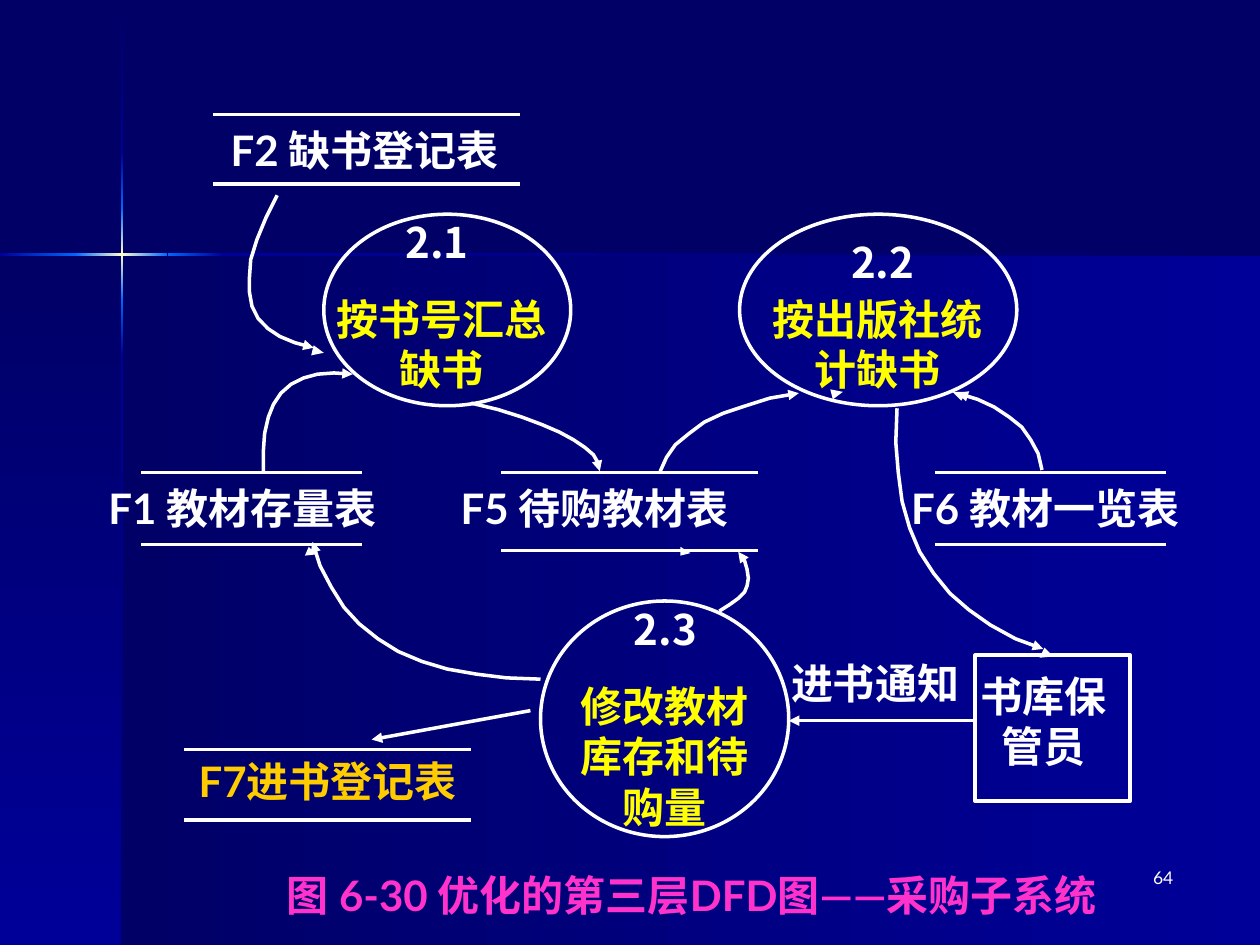
from lxml.etree import SubElement as Sub
from pptx import Presentation
from pptx.dml.color import RGBColor
from pptx.enum.shapes import MSO_CONNECTOR as Conn, MSO_SHAPE as Kind
from pptx.enum.text import PP_ALIGN as Align
from pptx.oxml.ns import qn
from pptx.util import Inches, Pt

deck = Presentation()
deck.slide_width, deck.slide_height = Inches(10), Inches(7.5)
slide = deck.slides.add_slide(deck.slide_layouts[6])
parts = slide.shapes
# The grid has 1000 columns and 750 rows
U = deck.slide_width // 1000
hue = RGBColor.from_string


def ink(shape, arrow=False):
    """White two-point line, no shadow, maybe an arrowhead at its end."""
    shape.line.color.rgb = hue("FFFFFF")
    shape.line.width = Pt(2)
    if arrow:
        Sub(shape.line._get_or_add_ln(), qn("a:tailEnd"), type="triangle")
    if shape._element.spPr.find(qn("a:effectLst")) is None:
        Sub(shape._element.spPr, qn("a:effectLst"))


def write(box, lines, color="FFFFFF", pad=0, align=Align.CENTER,
          face="Lato", size=24, bold=True, wrap=True):
    frame = parts.add_textbox(*[n * U for n in box]).text_frame
    frame.word_wrap = wrap
    for side, gap in dict(left=pad, right=pad, top=pad / 2, bottom=pad / 2).items():
        setattr(frame, "margin_" + side, int(gap * U))
    frame.text = lines
    look = dict(name=face, size=Pt(size), bold=bold)
    for para in frame.paragraphs:
        para.alignment = align
        for run in para.runs:
            for key, val in look.items():
                setattr(run.font, key, val)
            run.font.color.rgb = hue(color)
            Sub(run.font._element, qn("a:ea"), typeface=face)


# Background: two panels and a glowing cross
slide.background.fill.solid()
slide.background.fill.fore_color.rgb = hue("000066")
dark, mid, glow, pale = "000066", "000099", "0066FF", "FFFFCC"
flare = [glow, pale, glow]
bands = [
    (97, 202, 903, 548, 180, [mid, dark]),
    (0, 202, 97, 548, 90, [dark, mid]),
    (96, 1, 2, 120, 90, [dark, mid]),
    (96, 282, 2, 468, 90, [mid, dark]),
    (177, 201, 823, 2, 180, [dark, mid]),
    (96, 238, 2, 44, 90, [glow, mid]),
    (96, 121, 2, 44, 90, [mid, glow]),
    (96, 165, 2, 73, 90, flare),
    (0, 201, 61, 2, 180, [glow, mid]),
    (133, 201, 44, 2, 180, [mid, glow]),
    (60, 201, 73, 2, 180, flare),
]
for *box, turn, tones in bands:
    band = parts.add_shape(Kind.RECTANGLE, *[n * U for n in box])
    band.line.fill.background()
    band.shadow.inherit = False
    grad = band._element.spPr.makeelement(qn("a:gradFill"), rotWithShape="1")
    band._element.spPr.find(qn("a:prstGeom")).addnext(grad)
    stops = Sub(grad, qn("a:gsLst"))
    for i, tone in enumerate(tones):
        stop = Sub(stops, qn("a:gs"), pos=str(100000 * i // (len(tones) - 1)))
        Sub(stop, qn("a:srgbClr"), val=tone)
    Sub(grad, qn("a:lin"), ang=str(turn * 60000), scaled="0")

# Processes and the keeper's box
nodes = [
    (Kind.OVAL, 257, 170, 196, 152),
    (Kind.OVAL, 587, 170, 220, 152),
    (Kind.OVAL, 429, 477, 197, 187),
    (Kind.RECTANGLE, 774, 520, 123, 116),
]
for kind, *box in nodes:
    node = parts.add_shape(kind, *[n * U for n in box])
    node.fill.background()
    ink(node)

# Data stores: left, right, top and bottom rule
stores = [
    (169, 413, 91, 146),
    (398, 602, 375, 437),
    (112, 287, 375, 432),
    (742, 925, 375, 432),
    (146, 374, 595, 651),
]
rules = [(x, y, end, y) for x, end, *rows in stores for y in rows]
# Straight flows
flows = [(774, 572, 626, 572), (421, 564, 295, 587)]
for ends in rules + flows:
    ink(parts.add_connector(Conn.STRAIGHT, *[n * U for n in ends]), ends in flows)

# Curved flows
curves = [
    [(220, 155), (211, 173), (204, 190), (199, 206), (198, 220), (198, 232),
     (200, 243), (205, 253), (213, 261), (222, 267), (234, 272), (249, 276)],
    [(209, 374), (209, 358), (210, 344), (213, 331), (217, 321), (223, 312),
     (231, 305), (241, 300), (252, 297), (265, 296), (280, 297)],
    [(374, 320), (395, 325), (414, 331), (430, 337), (444, 343), (455, 349),
     (464, 355), (471, 361), (475, 368), (476, 374)],
    [(524, 374), (529, 363), (536, 353), (547, 344), (559, 335), (574, 328),
     (592, 322), (611, 316), (634, 312)],
    [(827, 373), (824, 360), (818, 349), (811, 339), (801, 331), (789, 323),
     (776, 317), (760, 312)],
    [(712, 324), (711, 351), (713, 375), (716, 398), (722, 419), (730, 438),
     (741, 455), (754, 471), (769, 484), (786, 496), (806, 507), (828, 515)],
    [(571, 485), (579, 480), (586, 475), (591, 470), (593, 465), (594, 459),
     (593, 452), (591, 445), (586, 438)],
    [(429, 539), (402, 538), (378, 535), (355, 531), (335, 525), (316, 517),
     (300, 507), (285, 495), (273, 482), (263, 466), (254, 449), (248, 430)],
]
# Loose arrow tips
tips = [
    [(249, 274), (257, 280), (247, 282)],
    [(661, 317), (669, 311), (659, 309)],
    [(763, 318), (756, 311), (767, 311)],
    [(829, 514), (836, 521), (825, 522)],
    [(548, 439), (540, 434), (540, 441)],
    [(242, 441), (245, 434), (251, 440)],
]
for dots in curves + tips:
    tip = dots in tips
    pen = parts.build_freeform(*dots[0], scale=U)
    pen.add_line_segments(dots[1:], close=tip)
    form = pen.convert_to_shape()
    form.shadow.inherit = False
    if tip:
        form.fill.solid()
        form.fill.fore_color.rgb = hue("FFFFFF")
        form.line.fill.background()
    else:
        form.fill.background()
        ink(form, True)

# Process numbers and names
for box, num in [((280, 172, 134, 40), "2.1"), ((673, 188, 55, 40), "2.2"),
                 ((461, 479, 134, 40), "2.3")]:
    write(box, num, face="Noto Sans CJK SC")
for box, name in [((256, 233, 189, 80), "按书号汇总缺书"),
                  ((610, 233, 173, 80), "按出版社统计缺书"),
                  ((445, 540, 165, 120), "修改教材库存和待购量")]:
    write(box, name, "FFFF00")

# Store names and other labels
for box, name in [((169, 99, 241, 40), "F2 缺书登记表"),
                  ((358, 383, 228, 40), "F5 待购教材表"),
                  ((51, 383, 283, 40), "F1 教材存量表"),
                  ((702, 383, 255, 40), "F6 教材一览表"),
                  ((771, 532, 115, 80), "书库保\n管员")]:
    write(box, name)
write((143, 595, 234, 50), "F7进书登记表", "FFCC00", 10, wrap=False)
write((618, 517, 220, 50), "进书通知", pad=10, align=Align.LEFT)

# Caption and page number
write((98, 690, 902, 40), "图 6-30 优化的第三层DFD图——采购子系统", "FF33CC")
write((733, 683, 208, 50), "64", pad=10, align=Align.RIGHT, size=10, bold=False)

deck.save("out.pptx")
